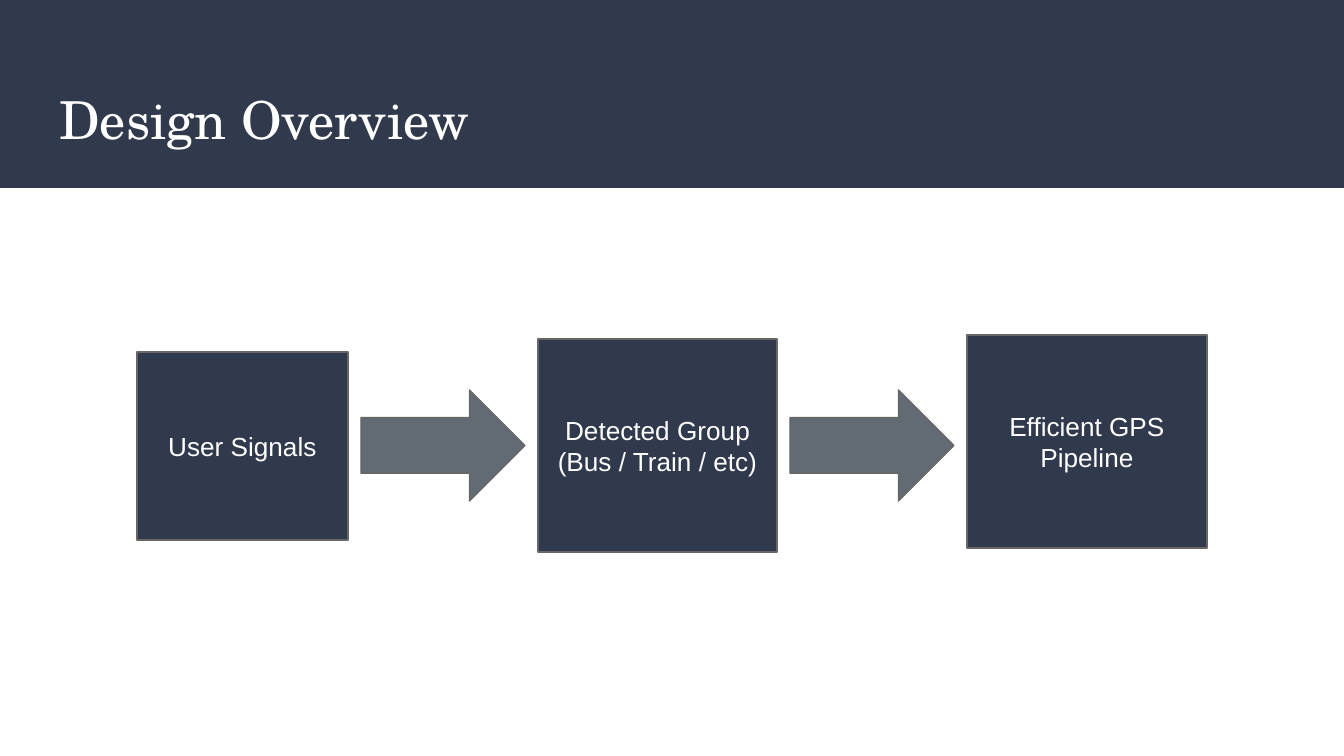
import pptx
import pptx.util
from pptx.dml.color import RGBColor
from pptx.enum.shapes import MSO_SHAPE
from pptx.enum.text import MSO_ANCHOR, MSO_AUTO_SIZE, PP_ALIGN

COLORS = {"navy": "31394D", "slate": "626B73", "outline": "666666", "white": "FFFFFF"}
TITLE = "Design Overview"
SLIDE_SIZE = (1344, 756)
BAND = (0, 0, 1344, 188)
TITLE_BOX = (46, 74, 1253, 91)

# Text, then left, top, width, height in px
STAGES = [
    ("User Signals", (137, 352, 211, 188)),
    ("Detected Group (Bus / Train / etc)", (538, 339, 239, 213)),
    ("Efficient GPS Pipeline", (967, 335, 240, 213)),
]
ARROW_TOP, ARROW_HEIGHT, ARROW_GAP = 390, 111, 13


def px(length):
    return round(length * 914400 / 134.4)


def color(name):
    return RGBColor.from_string(COLORS[name])


def add_shape(slide, kind, box, fill, outlined=True):
    shape = slide.shapes.add_shape(kind, *map(px, box))
    shape.shadow.inherit = False
    shape.fill.solid()
    shape.fill.fore_color.rgb = color(fill)
    if outlined:
        shape.line.color.rgb = color("outline")
        shape.line.width = pptx.util.Pt(0.75)
    else:
        shape.line.fill.background()
    return shape


def set_text(shape, text, size, font_name, alignment, anchor):
    frame = shape.text_frame
    frame.text = text
    frame.word_wrap = True
    frame.auto_size = MSO_AUTO_SIZE.NONE
    frame.vertical_anchor = anchor
    frame.margin_left = frame.margin_right = pptx.util.Inches(0.1)
    frame.margin_top = frame.margin_bottom = pptx.util.Inches(0.1)
    paragraph = frame.paragraphs[0]
    paragraph.alignment = alignment
    font = paragraph.runs[0].font
    font.size = pptx.util.Pt(size)
    font.name = font_name
    font.color.rgb = color("white")


def main():
    presentation = pptx.Presentation()
    presentation.slide_width, presentation.slide_height = map(px, SLIDE_SIZE)
    slide = presentation.slides.add_slide(presentation.slide_layouts.get_by_name("Title Only"))

    title = slide.shapes.title
    title.left, title.top, title.width, title.height = map(px, TITLE_BOX)
    set_text(title, TITLE, 28, "TeX Gyre Schola", PP_ALIGN.LEFT, MSO_ANCHOR.TOP)
    band = add_shape(slide, MSO_SHAPE.RECTANGLE, BAND, "navy", outlined=False)
    title.element.addprevious(band.element)  # the band lies behind the title

    for text, box in STAGES:
        stage = add_shape(slide, MSO_SHAPE.RECTANGLE, box, "navy")
        set_text(stage, text, 14, "Arial", PP_ALIGN.CENTER, MSO_ANCHOR.MIDDLE)

    for (_, before), (_, after) in zip(STAGES, STAGES[1:]):
        left = before[0] + before[2] + ARROW_GAP
        width = after[0] - ARROW_GAP - left
        add_shape(slide, MSO_SHAPE.RIGHT_ARROW, (left, ARROW_TOP, width, ARROW_HEIGHT), "slate")

    presentation.save("out.pptx")


if __name__ == "__main__":
    main()
